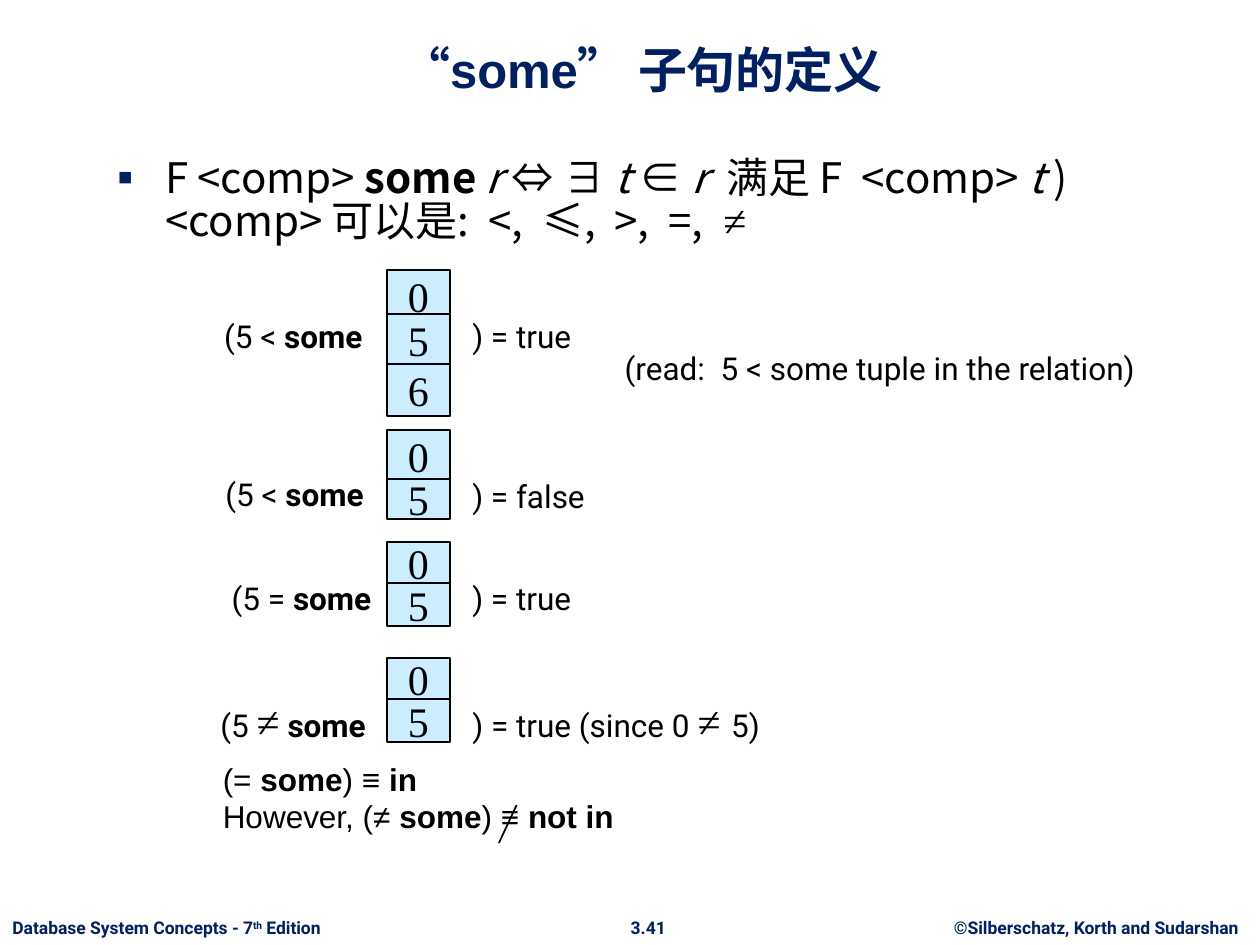
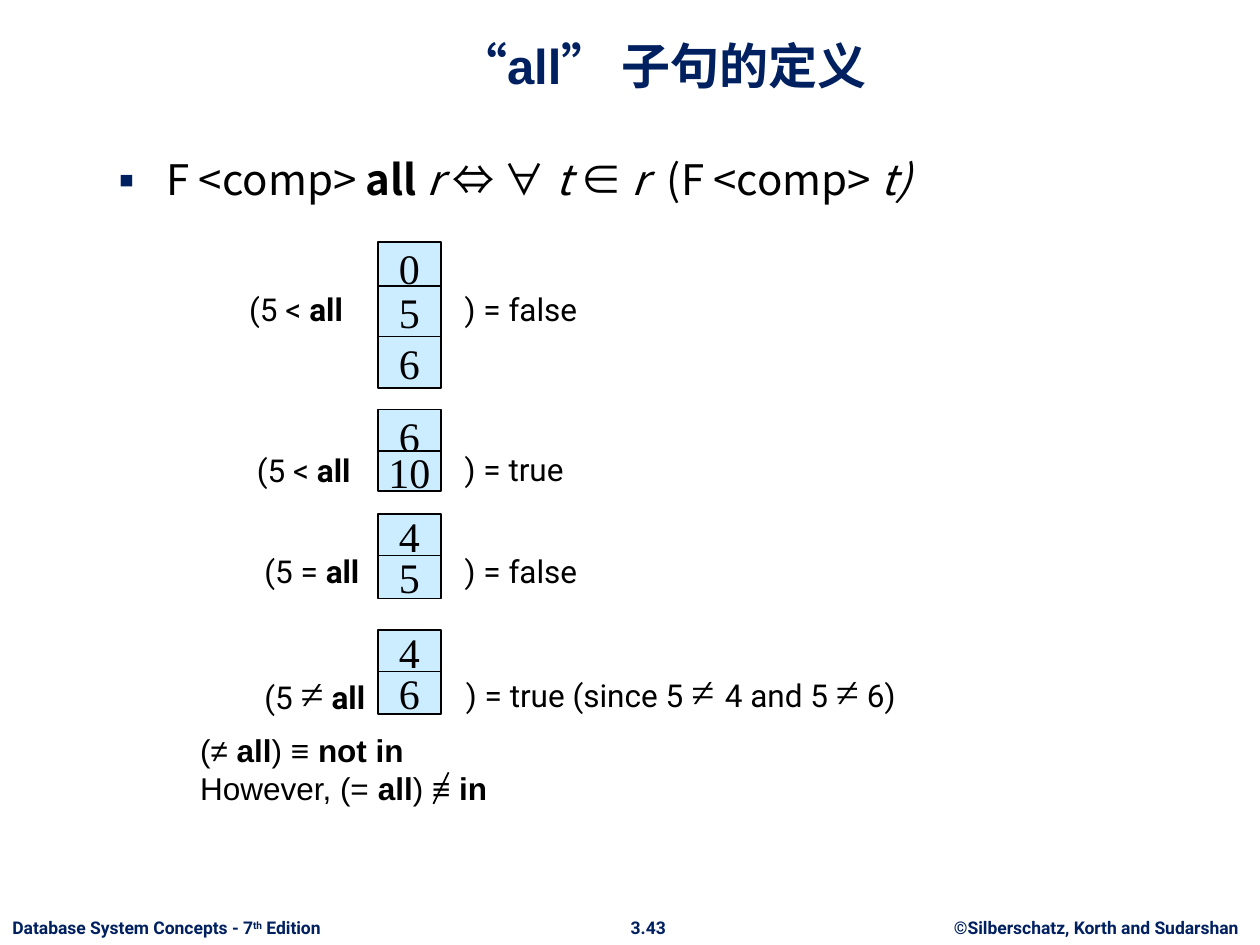
import pptx
import pptx.util
import pptx.dml.color
import pptx.enum.text
import pptx.enum.shapes
import pptx.oxml
from pptx.oxml.ns import qn

Inches = pptx.util.Inches
Pt = pptx.util.Pt
PP_ALIGN = pptx.enum.text.PP_ALIGN
ANCHOR = pptx.enum.text.MSO_ANCHOR

NAVY, BLACK, PALE_BLUE = "002060", "000000", "CCECFF"
CJK, TIMES = "Noto Sans CJK SC", "Times New Roman"
CELL_HEIGHTS = [0.41, 0.41, 0.41, 0.42, 0.32, 0.34, 0.34, 0.34, 0.34]
NS = 'xmlns:a="http://schemas.openxmlformats.org/drawingml/2006/main"'


def add_runs(p, runs, size, font, color=BLACK, east_asian=None):
    """Add plain strings or (text, style): b bold, i italic, t Times 24 pt, s superscript."""
    for run in runs:
        text, style = (run, "") if isinstance(run, str) else run
        r = p.add_run()
        r.text = text
        face = TIMES if "t" in style else font
        r.font.name = face
        r.font.size = Pt(24 if "t" in style else size)
        r.font.bold = "b" in style
        r.font.italic = "i" in style
        r.font.color.rgb = pptx.dml.color.RGBColor.from_string(color)
        rPr = r._r.get_or_add_rPr()
        if "s" in style:
            rPr.set("baseline", "30000")
        rPr.find(qn("a:latin")).addnext(
            pptx.oxml.parse_xml(f'<a:ea {NS} typeface="{east_asian or face}"/>'))


def add_text(s, at, lines, size=18, font="Roboto", color=BLACK, wrap=True, align=None):
    tf = s.shapes.add_textbox(*map(Inches, at)).text_frame
    tf.word_wrap = wrap
    for i, runs in enumerate(lines):
        p = tf.add_paragraph() if i else tf.paragraphs[0]
        p.alignment = align
        add_runs(p, runs, size, font, color)


slides = [
    {
        "number": "3.41",
        "title": "“some” 子句的定义",
        "title_at": (0.68, 0.16, 8.83, 0.67),
        "definition": ["F <comp> ", ("some ", "b"), ("r ", "i"), "⇔ ∃ ", ("t ", "i"), "∈",
                       (" r  ", "i"), "满足 F  <comp> ", ("t ", "i"),
                       ") <comp> 可以是:  <,  ≤,  >,  =, ", (" ≠", "t")],
        "definition_at": (0.83, 1.21, 8.58, 0.78),
        "cell_left": 3.07,
        "cell_tops": [2.14, 2.49, 2.89, 3.41, 3.8, 4.3, 4.63, 5.22, 5.55],
        "cell_values": [0, 5, 6, 0, 5, 0, 5, 0, 5],
        "labels": [
            ((1.68, 2.47, 1.48, 0.4), ["(5 < ", ("some", "b")]),
            ((3.65, 2.47, 1.0, 0.4), [") = true"]),
            ((4.86, 2.72, 5.33, 0.4), ["(read:  5 < some tuple in the relation)"]),
            ((1.69, 3.72, 1.51, 0.4), ["(5 < ", ("some", "b")]),
            ((3.65, 3.74, 1.33, 0.4), [") = false"]),
            ((1.74, 4.55, 1.67, 0.4), ["(5 = ", ("some", "b")]),
            ((3.65, 4.55, 1.33, 0.4), [") = true"]),
            ((1.65, 5.47, 1.58, 0.5), ["(5 ", ("≠", "t"), " ", ("some", "b")]),
            ((3.65, 5.47, 2.75, 0.5), [") = true (since 0 ", ("≠ ", "t"), "5)"]),
        ],
        "summary_at": (1.67, 5.98, 7.44, 0.78),
        "summary": [["(= ", ("some", "b"), ") ≡ ", ("in", "b")],
                    ["However, (≠ ", ("some", "b"), ") ≡ ", ("not in", "b")]],
        "strike": (4.1, 6.39, 3.96, 6.69),
    },
    {
        "number": "3.43",
        "title": "“all” 子句的定义",
        "title_at": (0.84, 0.13, 8.83, 0.67),
        "definition": ["F <comp> ", ("all ", "b"), ("r ", "i"), "⇔ ∀ ", ("t ", "i"), "∈",
                       (" r ", "i"), " (F <comp> ", ("t)", "i")],
        "definition_at": (0.84, 1.23, 7.32, 0.42),
        "cell_left": 3.0,
        "cell_tops": [1.92, 2.27, 2.67, 3.25, 3.58, 4.08, 4.41, 5.0, 5.33],
        "cell_values": [0, 5, 6, 6, 10, 4, 5, 4, 6],
        "labels": [
            ((1.88, 2.25, 1.33, 0.4), ["(5 < ", ("all", "b")]),
            ((3.59, 2.25, 1.33, 0.4), [") = false"]),
            ((1.94, 3.53, 1.33, 0.4), ["(5 < ", ("all", "b")]),
            ((3.59, 3.52, 1.33, 0.4), [") = true"]),
            ((2.0, 4.33, 1.33, 0.4), ["(5 = ", ("all", "b")]),
            ((3.59, 4.33, 1.33, 0.4), [") = false"]),
            ((2.0, 5.25, 1.83, 0.5), ["(5 ", ("≠", "t"), " ", ("all", "b")]),
            ((3.6, 5.23, 5.0, 0.5),
             [") = true (since 5 ", ("≠ ", "t"), "4 and 5 ", ("≠", "t"), " 6)"]),
        ],
        "summary_at": (1.49, 5.75, 7.44, 0.78),
        "summary": [["(≠ ", ("all", "b"), ") ≡ ", ("not in", "b")],
                    ["However, (= ", ("all", "b"), ") ≡ ", ("in", "b")]],
        "strike": (3.56, 6.13, 3.44, 6.38),
    },
]

prs = pptx.Presentation()
prs.slide_width, prs.slide_height = Inches(10), Inches(7.5)

for content in slides:
    s = prs.slides.add_slide(prs.slide_layouts[1])

    # Footer
    footers = [
        ((7.4, 7.23, 2.6, 0.27), [("©Silberschatz, Korth and Sudarshan", "b")], PP_ALIGN.CENTER),
        ((4.9, 7.23, 0.49, 0.27), [(content["number"], "b")], PP_ALIGN.CENTER),
        ((0, 7.23, 2.81, 0.27), [("Database System Concepts - 7", "b"), ("th", "bs"),
                                 (" Edition", "b")], PP_ALIGN.LEFT),
    ]
    for at, runs, align in footers:
        add_text(s, at, [runs], 10, color=NAVY, wrap=False, align=align)

    # Title and definition
    title, body = s.shapes.title, s.placeholders[1]
    for sp, at in ((title, content["title_at"]), (body, content["definition_at"])):
        sp.left, sp.top, sp.width, sp.height = map(Inches, at)
        sp.text_frame.auto_size = pptx.enum.text.MSO_AUTO_SIZE.NONE
        sp.text_frame.word_wrap = True
    title.text_frame.vertical_anchor = ANCHOR.BOTTOM
    p = title.text_frame.paragraphs[0]
    p.alignment = PP_ALIGN.CENTER
    add_runs(p, [(content["title"], "b")], 28, "Arial", NAVY, CJK)

    body.text_frame.vertical_anchor = ANCHOR.TOP
    p = body.text_frame.paragraphs[0]
    p.line_spacing = 0.86
    p.space_before = Pt(0)
    pPr = p._p.get_or_add_pPr()
    pPr.set("marL", str(Inches(0.38)))
    pPr.set("indent", str(-Inches(0.38)))
    for bullet in (f'<a:buClr {NS}><a:srgbClr val="{NAVY}"/></a:buClr>',
                   f'<a:buSzPct {NS} val="110000"/>',
                   f'<a:buFont {NS} typeface="Arial"/>',
                   f'<a:buChar {NS} char="▪"/>'):
        pPr.append(pptx.oxml.parse_xml(bullet))
    add_runs(p, content["definition"], 24, CJK)

    # Relation cells
    for top, height, value in zip(content["cell_tops"], CELL_HEIGHTS, content["cell_values"]):
        sp = s.shapes.add_shape(pptx.enum.shapes.MSO_SHAPE.RECTANGLE,
                                Inches(content["cell_left"]), Inches(top),
                                Inches(0.5), Inches(height))
        sp.shadow.inherit = False
        sp.fill.solid()
        sp.fill.fore_color.rgb = pptx.dml.color.RGBColor.from_string(PALE_BLUE)
        sp.line.color.rgb = pptx.dml.color.RGBColor.from_string(BLACK)
        sp.line.width = Pt(1)
        tf = sp.text_frame
        tf.word_wrap = False
        tf.vertical_anchor = ANCHOR.MIDDLE
        tf.paragraphs[0].alignment = PP_ALIGN.CENTER
        add_runs(tf.paragraphs[0], [str(value)], 24, TIMES)

    for at, runs in content["labels"]:
        add_text(s, at, [runs])

    # Equivalences, with a stroke through the second ≡
    add_text(s, content["summary_at"], content["summary"], font="Arial")
    strike = s.shapes.add_connector(pptx.enum.shapes.MSO_CONNECTOR.STRAIGHT,
                                    *map(Inches, content["strike"]))
    strike.line.color.rgb = pptx.dml.color.RGBColor.from_string(BLACK)
    strike.line.width = Pt(1)
    strike._element.spPr.append(pptx.oxml.parse_xml(f"<a:effectLst {NS}/>"))

prs.save("out.pptx")
